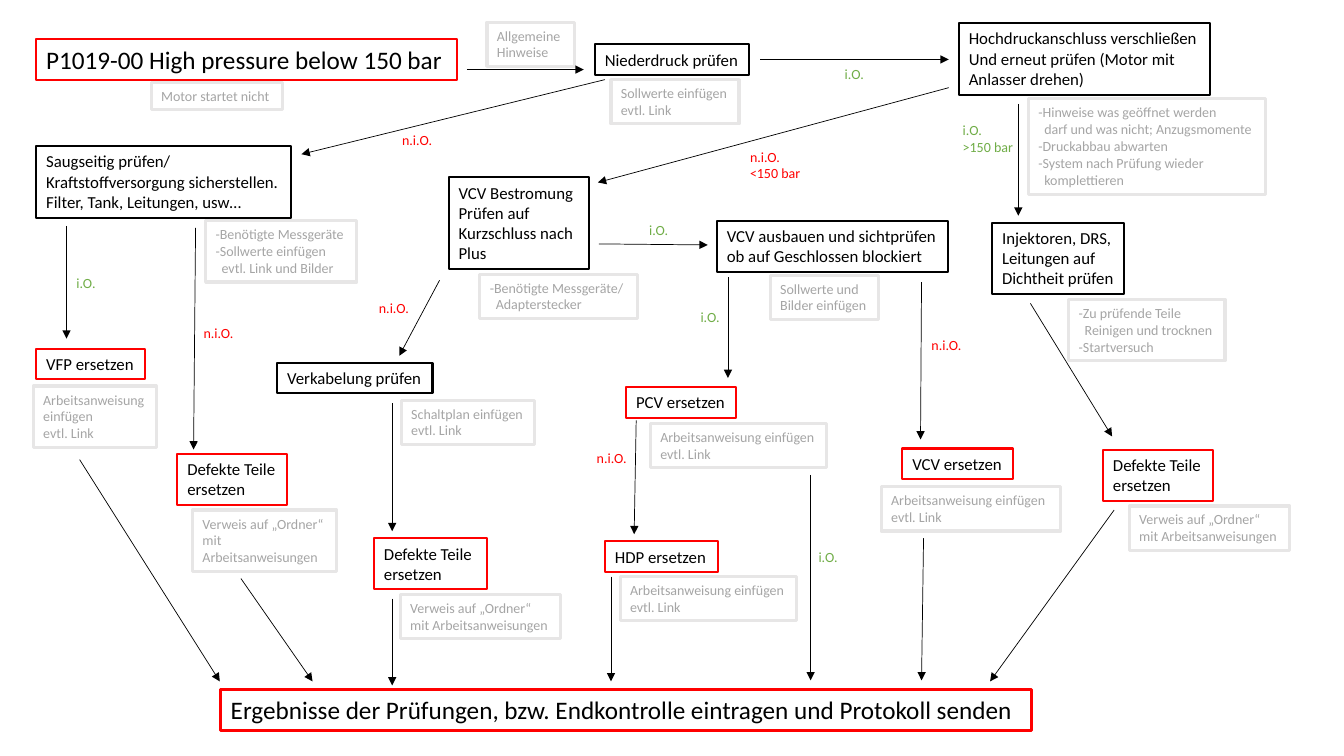
from lxml.etree import SubElement
from pptx import Presentation
from pptx.dml.color import RGBColor
from pptx.enum.shapes import MSO_CONNECTOR as CONNECTOR, MSO_SHAPE as SHAPE
from pptx.enum.text import MSO_ANCHOR as ANCHOR, MSO_AUTO_SIZE as AUTO_SIZE, PP_ALIGN as ALIGN
from pptx.oxml.ns import qn
from pptx.util import Inches, Pt

COLORS = {
    "black": "000000",
    "red": "FF0000",
    "green": "70AD47",
    "frame": "E7E6E6",
    "note": "A5A5A5",
}
FONT = "Calibri"
INDENT = 0.06


def write_lines(shape, lines, size, color):
    frame = shape.text_frame
    frame.word_wrap = False
    frame.auto_size = AUTO_SIZE.SHAPE_TO_FIT_TEXT
    frame.vertical_anchor = ANCHOR.TOP
    for index, line in enumerate(lines):
        paragraph = frame.paragraphs[0] if index == 0 else frame.add_paragraph()
        paragraph.alignment = ALIGN.LEFT
        if line.startswith(">>"):
            paragraph._p.get_or_add_pPr().set("marL", str(Inches(INDENT)))
            line = line[2:]
        run = paragraph.add_run()
        run.text = line
        run.font.name = FONT
        run.font.size = Pt(size)
        run.font.color.rgb = RGBColor.from_string(COLORS[color])


def add_box(left, top, width, lines, size, text_color, frame_color, weight):
    height = 0.1 + len(lines) * size * 1.22 / 72
    box = slide.shapes.add_shape(
        SHAPE.RECTANGLE, Inches(left), Inches(top), Inches(width), Inches(height)
    )
    box.shadow.inherit = False
    box.fill.background()
    box.line.color.rgb = RGBColor.from_string(COLORS[frame_color])
    box.line.width = Pt(weight)
    write_lines(box, lines, size, text_color)


presentation = Presentation()
presentation.slide_width = Inches(13.33)
presentation.slide_height = Inches(7.5)
slide = presentation.slides.add_slide(presentation.slide_layouts[6])

banners = [
    (0.36, 0.39, 4.17, "P1019-00 High pressure below 150 bar", 1.5),
    (2.19, 6.84, 8.04,
     "Ergebnisse der Prüfungen, bzw. Endkontrolle eintragen und Protokoll senden", 2.25),
]
for left, top, width, text, weight in banners:
    add_box(left, top, width, [text], 18, "black", "red", weight)

checks = [
    (5.9, 0.44, 1.53, ["Niederdruck prüfen"]),
    (9.51, 0.23, 2.49, ["Hochdruckanschluss verschließen",
                        "Und erneut prüfen (Motor mit", "Anlasser drehen)"]),
    (0.36, 1.45, 2.53, ["Saugseitig prüfen/", "Kraftstoffversorgung sicherstellen.",
                        "Filter, Tank, Leitungen, usw…"]),
    (4.45, 1.76, 1.39, ["VCV Bestromung", "Prüfen auf", "Kurzschluss nach", "Plus"]),
    (7.11, 2.19, 2.29, ["VCV ausbauen und sichtprüfen", "ob auf Geschlossen blockiert"]),
    (9.84, 2.21, 1.31, ["Injektoren, DRS,", "Leitungen auf", "Dichtheit prüfen"]),
    (2.75, 3.6, 1.54, ["Verkabelung prüfen"]),
]
defective_parts = ["Defekte Teile", "ersetzen"]
replacements = [
    (0.36, 3.46, 1.08, ["VFP ersetzen"]),
    (6.21, 3.84, 1.09, ["PCV ersetzen"]),
    (6, 5.37, 1.12, ["HDP ersetzen"]),
    (8.95, 4.45, 1.1, ["VCV ersetzen"]),
    (1.76, 4.5, 1.09, defective_parts),
    (3.71, 5.34, 1.12, defective_parts),
    (10.94, 4.46, 1.09, defective_parts),
]
for frame_color, steps in [("black", checks), ("red", replacements)]:
    for left, top, width, lines in steps:
        add_box(left, top, width, lines, 12, "black", frame_color, 1.5)

work_instruction = ["Arbeitsanweisung einfügen", "evtl. Link"]
folder_reference = ["Verweis auf „Ordner“", "mit Arbeitsanweisungen"]
notes = [
    (1.5, 0.82, 1.3, ["Motor startet nicht"]),
    (4.83, 0.22, 0.87, ["Allgemeine", "Hinweise"]),
    (6.06, 0.79, 1.27, ["Sollwerte einfügen", "evtl. Link"]),
    (10.2, 0.98, 2.35, ["-Hinweise was geöffnet werden",
                        ">>darf und was nicht; Anzugsmomente", "-Druckabbau abwarten",
                        "-System nach Prüfung wieder", ">>komplettieren"]),
    (2.04, 2.19, 1.5, ["-Benötigte Messgeräte", "-Sollwerte einfügen",
                       ">>evtl. Link und Bilder"]),
    (4.76, 2.72, 1.56, ["-Benötigte Messgeräte/", ">>Adapterstecker"]),
    (7.64, 2.73, 1.07, ["Sollwerte und", "Bilder einfügen"]),
    (10.6, 2.97, 1.55, ["-Zu prüfende Teile", ">>Reinigen und trocknen",
                        "-Startversuch"]),
    (0.33, 3.83, 1.22, ["Arbeitsanweisung", "einfügen", "evtl. Link"]),
    (3.98, 3.97, 1.32, ["Schaltplan einfügen", "evtl. Link"]),
    (1.91, 5.06, 1.43, ["Verweis auf „Ordner“", "mit", "Arbeitsanweisungen"]),
    (6.45, 4.2, 1.75, work_instruction),
    (8.74, 4.83, 1.78, work_instruction),
    (6.15, 5.72, 1.75, work_instruction),
    (11.2, 5.02, 1.59, folder_reference),
    (3.97, 5.9, 1.59, folder_reference),
]
for left, top, width, lines in notes:
    add_box(left, top, width, lines, 10, "note", "frame", 2.25)

passed, failed = ["i.O."], ["n.i.O."]
results = [
    (8.28, 0.6, 0.4, passed, "green"),
    (0.66, 2.67, 0.4, passed, "green"),
    (6.34, 2.15, 0.4, passed, "green"),
    (6.85, 3.01, 0.4, passed, "green"),
    (8.02, 5.39, 0.4, passed, "green"),
    (9.45, 1.16, 0.71, passed + [">150 bar"], "green"),
    (3.89, 1.26, 0.51, failed, "red"),
    (1.92, 3.17, 0.51, failed, "red"),
    (3.66, 2.92, 0.51, failed, "red"),
    (5.82, 4.41, 0.51, failed, "red"),
    (9.14, 3.29, 0.51, failed, "red"),
    (7.34, 1.42, 0.71, failed + ["<150 bar"], "red"),
]
for left, top, width, lines, color in results:
    height = 0.1 + 0.17 * len(lines)
    label = slide.shapes.add_textbox(
        Inches(left), Inches(top), Inches(width), Inches(height)
    )
    write_lines(label, lines, 10, color)

arrows = [
    (4.63, 0.69, 5.79, 0.69),
    (7.54, 0.59, 9.41, 0.59),
    (6, 0.79, 2.99, 1.53),
    (9.41, 0.87, 5.93, 1.81),
    (10.1, 1.03, 10.1, 2.14),
    (0.66, 2.24, 0.66, 3.36),
    (1.94, 2.26, 1.92, 4.46),
    (5.94, 2.42, 7.02, 2.43),
    (4.36, 2.78, 3.96, 3.53),
    (7.22, 2.75, 7.22, 3.75),
    (9.14, 2.8, 9.13, 4.36),
    (10.22, 3.01, 11.03, 4.33),
    (3.89, 4, 3.89, 5.27),
    (6.31, 4.17, 6.29, 5.3),
    (0.79, 4.56, 2.18, 6.76),
    (2.39, 5.74, 3.1, 6.76),
    (3.89, 5.94, 3.89, 6.8),
    (6.06, 5.72, 6.06, 6.76),
    (8.04, 4.71, 8.04, 6.75),
    (9.16, 5.34, 9.14, 6.75),
    (11.05, 5.06, 9.82, 6.76),
]
for points in arrows:
    arrow = slide.shapes.add_connector(CONNECTOR.STRAIGHT, *map(Inches, points))
    arrow.line.color.rgb = RGBColor.from_string(COLORS["black"])
    arrow.line.width = Pt(0.5)
    SubElement(arrow.line._get_or_add_ln(), qn("a:tailEnd"), type="triangle")
    SubElement(arrow._element.spPr, qn("a:effectLst"))

presentation.save("out.pptx")
